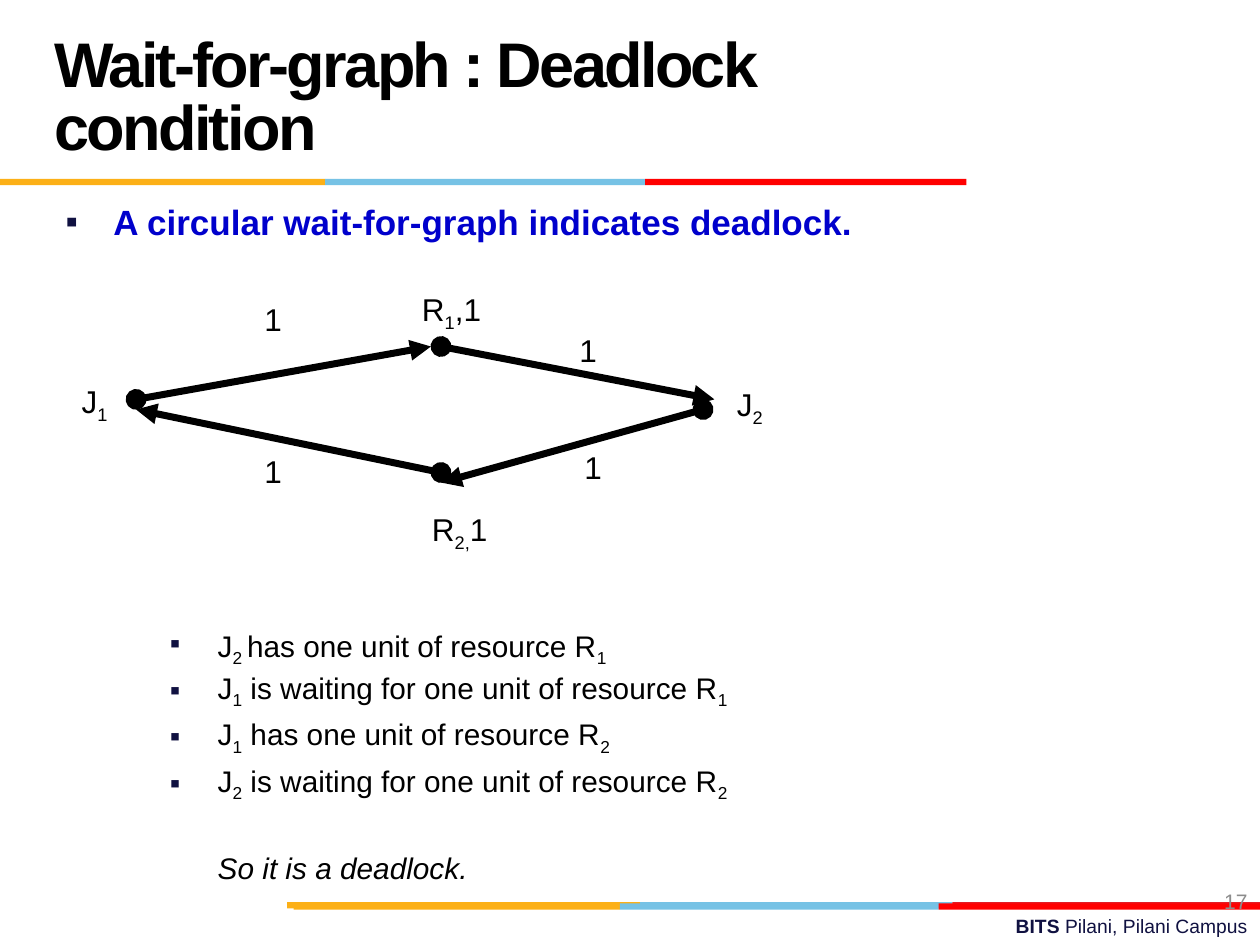
import pptx
import pptx.dml.color
import pptx.enum.shapes
import pptx.enum.text
import pptx.oxml
import pptx.oxml.ns
import pptx.util
from lxml import etree

Inches = pptx.util.Inches
Pt = pptx.util.Pt
RGBColor = pptx.dml.color.RGBColor
PP_ALIGN = pptx.enum.text.PP_ALIGN
MSO_ANCHOR = pptx.enum.text.MSO_ANCHOR
qn = pptx.oxml.ns.qn

BLACK = RGBColor(0x00, 0x00, 0x00)
NAVY = RGBColor(0x10, 0x11, 0x41)
BLUE = RGBColor(0x00, 0x00, 0xCC)
GRAY = RGBColor(0x8C, 0x8C, 0x8C)
SKY = RGBColor(0x76, 0xC2, 0xE5)
AMBER = RGBColor(0xFC, 0xB0, 0x17)
CRIMSON = RGBColor(0xE3, 0x1C, 0x24)
RED = RGBColor(0xFF, 0x00, 0x00)

BAR_HEIGHT = 0.05
INDENT = 0.38
LABEL_HEIGHT = 0.4

# (top, edges of the three segments, colours)
STRIPES = [
    (7.16, (2.28, 5.08, 7.56, 10), (AMBER, SKY, CRIMSON)),
    (7.17, (2.33, 4.92, 7.45, 10), (AMBER, SKY, RED)),
    (1.42, (0, 2.58, 5.12, 7.67), (AMBER, SKY, RED)),
]
# (start, end) of each edge of the graph
GRAPH_EDGES = [
    ((1.08, 3.17), (3.42, 2.75)),
    ((3.5, 2.75), (5.67, 3.17)),
    ((3.5, 3.75), (1.08, 3.25)),
    ((5.58, 3.25), (3.5, 3.83)),
]
# (text, left, top, width); every second part between bars is a subscript
GRAPH_LABELS = [
    ("J|1", 0.55, 2.98, 0.42),
    ("J|2", 5.75, 3.01, 0.42),
    ("R|1|,1", 3.25, 2.25, 0.69),
    ("R|2,|1", 3.33, 4, 0.66),
    ("1", 2, 2.33, 0.34),
    ("1", 4.5, 2.58, 0.34),
    ("1", 4.54, 3.51, 0.34),
    ("1", 2, 3.54, 0.34),
]
FACTS = [
    "J|2 |has one unit of resource R|1",
    "J|1| is waiting for one unit of resource R|1",
    "J|1| has one unit of resource R|2",
    "J|2| is waiting for one unit of resource R|2",
]


def place(shape, left, top, width, height):
    shape.left, shape.top = Inches(left), Inches(top)
    shape.width, shape.height = Inches(width), Inches(height)


def add_run(paragraph, text, size, color, bold=False, italic=False):
    run = paragraph.add_run()
    run.text = text
    font = run.font
    font.name, font.size = "Arial", Pt(size)
    font.bold, font.italic = bold, italic
    font.color.rgb = color
    return run


def add_subscripted(paragraph, text, size):
    """Write text whose every second part between bars is a subscript."""
    for index, part in enumerate(text.split("|")):
        run = add_run(paragraph, part, size, BLACK)
        if index % 2:
            run.font._element.set("baseline", "-25000")


def set_bullet(paragraph):
    properties = paragraph._p.get_or_add_pPr()
    properties.set("marL", str(Inches(INDENT)))
    properties.set("indent", str(-Inches(INDENT)))
    bullet_color = etree.SubElement(properties, qn("a:buClr"))
    etree.SubElement(bullet_color, qn("a:srgbClr"), val=str(NAVY))
    etree.SubElement(properties, qn("a:buFont"), typeface="Arial")
    etree.SubElement(properties, qn("a:buChar"), char="▪")


def add_text_box(slide, left, top, width, height, wrap=True):
    box = slide.shapes.add_textbox(
        Inches(left), Inches(top), Inches(width), Inches(height))
    box.text_frame.word_wrap = wrap
    return box.text_frame


def add_stripe(slide, top, edges, colors):
    for left, right, color in zip(edges, edges[1:], colors):
        bar = slide.shapes.add_shape(
            pptx.enum.shapes.MSO_SHAPE.RECTANGLE, Inches(left), Inches(top),
            Inches(right - left), Inches(BAR_HEIGHT))
        bar.shadow.inherit = False
        bar.fill.solid()
        bar.fill.fore_color.rgb = color
        bar.line.fill.background()


def add_graph_edge(slide, start, end):
    edge = slide.shapes.add_connector(
        pptx.enum.shapes.MSO_CONNECTOR.STRAIGHT,
        *(Inches(value) for value in start + end))
    edge.line.color.rgb = BLACK
    edge.line.width = Pt(4)
    line = edge.line._get_or_add_ln()
    etree.SubElement(line, qn("a:headEnd"), type="oval")
    etree.SubElement(line, qn("a:tailEnd"), type="triangle")
    etree.SubElement(edge._element.spPr, qn("a:effectLst"))


def fill_title(title):
    place(title, 0.33, 0.17, 6.92, 1.25)
    frame = title.text_frame
    frame.auto_size = pptx.enum.text.MSO_AUTO_SIZE.NONE
    frame.vertical_anchor = MSO_ANCHOR.MIDDLE
    paragraph = frame.paragraphs[0]
    paragraph.alignment = PP_ALIGN.LEFT
    paragraph.line_spacing = Pt(36)
    run = add_run(paragraph, "Wait-for-graph : Deadlock condition",
                  36, BLACK, bold=True)
    run.font._element.set("spc", "-150")


def fill_body(body):
    place(body, 0.42, 1.54, 9.25, 0.58)
    frame = body.text_frame
    frame.auto_size = pptx.enum.text.MSO_AUTO_SIZE.NONE
    paragraph = frame.paragraphs[0]
    set_bullet(paragraph)
    paragraph.space_before = Pt(0)
    add_run(paragraph, "A circular wait-for-graph indicates deadlock.",
            20, BLUE, bold=True)


def add_facts(slide):
    frame = add_text_box(slide, 1.25, 4.96, 6.83, 1.75)
    for index, fact in enumerate(FACTS):
        paragraph = frame.add_paragraph() if index else frame.paragraphs[0]
        set_bullet(paragraph)
        if index:
            paragraph.space_before = Pt(3.4)
        else:
            paragraph.line_spacing = 0.8
        add_subscripted(paragraph, fact, 17)
    conclusion = frame.add_paragraph()
    conclusion._p.get_or_add_pPr().set("marL", str(Inches(INDENT)))
    conclusion.space_before = Pt(26.5)
    add_run(conclusion, "So it is a deadlock.", 17, BLACK, italic=True)


def add_footer(slide):
    campus = add_text_box(slide, 3.58, 7.21, 6.42, 0.29).paragraphs[0]
    campus.alignment = PP_ALIGN.RIGHT
    add_run(campus, "BITS ", 11, NAVY, bold=True)
    add_run(campus, "Pilani, Pilani Campus", 11, NAVY)

    number_frame = add_text_box(slide, 7.67, 6.95, 2.33, 0.4)
    number_frame.vertical_anchor = MSO_ANCHOR.MIDDLE
    number_frame.paragraphs[0].alignment = PP_ALIGN.RIGHT
    add_run(number_frame.paragraphs[0], "17", 12, GRAY)


def main():
    presentation = pptx.Presentation()
    presentation.slide_width = Inches(10)
    presentation.slide_height = Inches(7.5)
    slide = presentation.slides.add_slide(presentation.slide_layouts[1])

    fill_title(slide.shapes.title)
    fill_body(slide.placeholders[1])
    for stripe in STRIPES:
        add_stripe(slide, *stripe)
    add_footer(slide)
    for start, end in GRAPH_EDGES:
        add_graph_edge(slide, start, end)
    for text, left, top, width in GRAPH_LABELS:
        frame = add_text_box(slide, left, top, width, LABEL_HEIGHT, wrap=False)
        add_subscripted(frame.paragraphs[0], text, 18)
    add_facts(slide)
    presentation.save("out.pptx")


if __name__ == "__main__":
    main()
